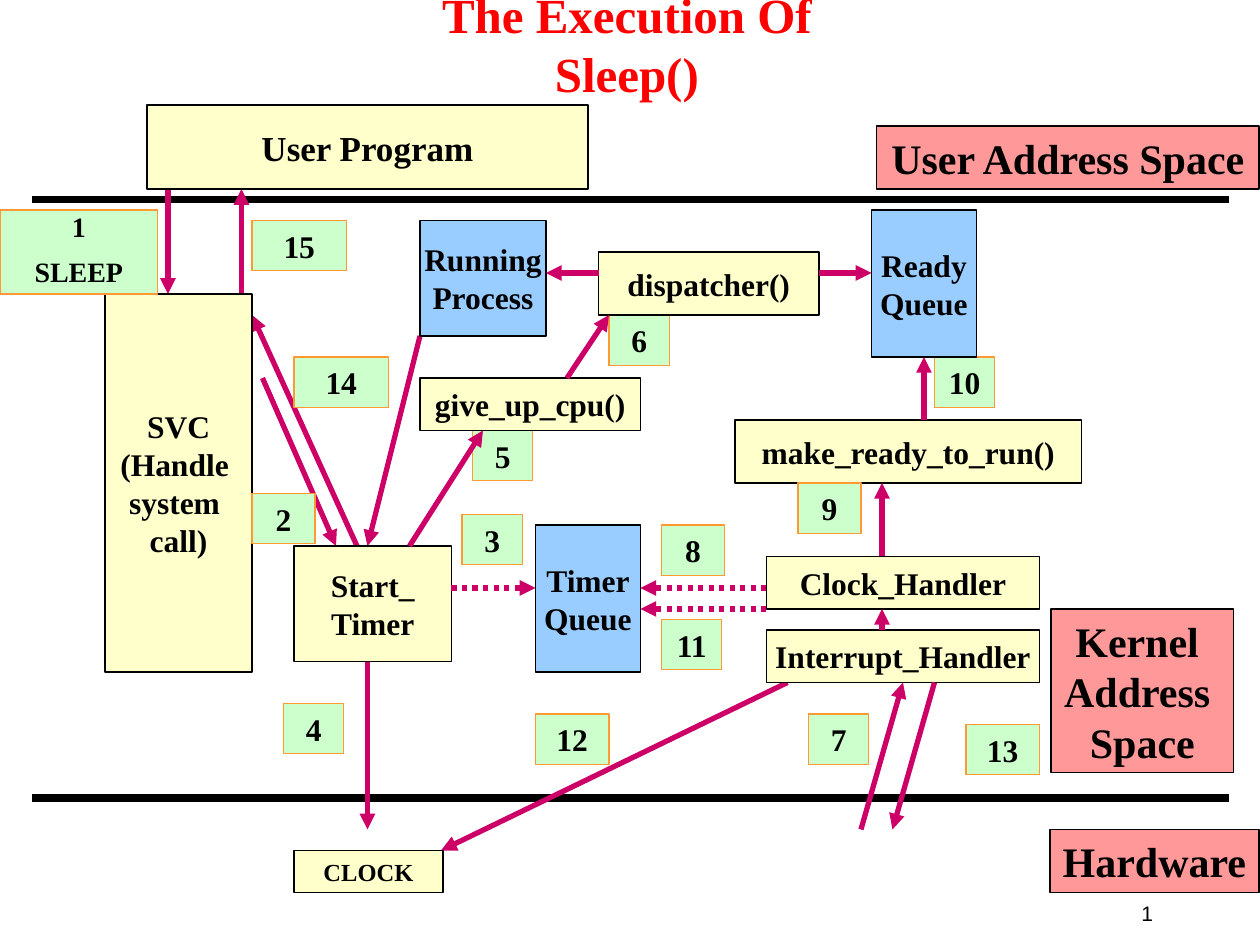
from lxml.etree import SubElement
from pptx import Presentation
from pptx.dml.color import RGBColor
from pptx.enum.dml import MSO_LINE
from pptx.enum.shapes import MSO_CONNECTOR, MSO_SHAPE
from pptx.enum.text import MSO_ANCHOR, PP_ALIGN
from pptx.oxml.ns import qn
from pptx.util import Inches, Pt

prs = Presentation()
prs.slide_width = Inches(10)
prs.slide_height = Inches(7.5)
unit = prs.slide_width / 120
s = prs.slides.add_slide(prs.slide_layouts[5])


def write(sp, text, size=18, color="000000", font="Times New Roman", bold=True,
          align=PP_ALIGN.CENTER, wrap=False, line_spacing=None, gap=0):
    tf = sp.text_frame
    tf.word_wrap = wrap
    tf.vertical_anchor = MSO_ANCHOR.MIDDLE
    tf.margin_left = tf.margin_right = Inches(0.1)
    tf.margin_top = tf.margin_bottom = Inches(0.05)
    for i, line in enumerate(text.split("\n")):
        p = tf.add_paragraph() if i else tf.paragraphs[0]
        p.alignment = align
        p.line_spacing = line_spacing
        p.space_before = Pt(gap if i else 0)
        r = p.add_run()
        r.text = line
        r.font.name = font
        r.font.size = Pt(size)
        r.font.bold = bold
        r.font.color.rgb = RGBColor.from_string(color)


def connect(x1, y1, x2, y2, color="CC0066", width=3, dotted=False, arrow=True):
    ends = [round(n * unit) for n in (x1, y1, x2, y2)]
    line = s.shapes.add_connector(MSO_CONNECTOR.STRAIGHT, *ends)
    line.line.color.rgb = RGBColor.from_string(color)
    line.line.width = Pt(width)
    if dotted:
        line.line.dash_style = MSO_LINE.ROUND_DOT
    if arrow:
        SubElement(line.line._get_or_add_ln(), qn("a:tailEnd"), type="triangle")
    SubElement(line._element.spPr, qn("a:effectLst"))


title = s.shapes.title
title.left, title.top = Inches(2.79), Inches(0.06)
title.width, title.height = Inches(4.37), Inches(0.57)
write(title, "The Execution Of Sleep()", size=28, color="FF0000")

for y in (19, 76):
    connect(3, y, 117, y, color="000000", width=4.5, arrow=False)

for ends in [
    (34, 52, 24, 30), (40, 32, 35, 52), (16, 18, 16, 28), (25, 36, 32, 52),
    (75, 65, 42, 81), (23, 28, 23, 18), (82, 79, 86, 65),
]:
    connect(*ends)

styles = {
    "space": ("FF9999", "000000", {"size": 24}),
    "module": ("FFFFCC", "000000", {}),
    "queue": ("99CCFF", "000000", {}),
    "step": ("CCFFCC", "FF9933", {"wrap": True}),
}
boxes = [
    ("space", 83.5, 12, 36.4, 6, "User Address Space", {}),
    ("module", 28, 81, 14.2, 4, "CLOCK", {"size": 14}),
    ("module", 10, 28, 14, 36, "SVC\n(Handle \nsystem \ncall)", {}),
    ("module", 70, 40, 33, 6, "make_ready_to_run()", {}),
    ("module", 14, 10, 42, 8, "User Program", {"size": 20}),
    ("step", 89, 34, 5.75, 4.8, "10", {}),
    ("step", 63, 50, 6, 4.8, "8", {}),
    ("step", 58, 30, 5.75, 4.8, "6", {}),
    ("step", 44, 49, 5.75, 4.8, "3", {}),
    ("step", 27, 67, 5.75, 4.8, "4", {}),
    ("step", 45, 41, 5.75, 4.8, "5", {}),
    ("step", 0, 20, 15, 8, "1\nSLEEP", {"size": 16, "line_spacing": 0.8, "gap": 10}),
    ("step", 77, 68, 5.75, 4.8, "7", {}),
    ("step", 63, 59, 5.75, 4.8, "11", {}),
    ("module", 40, 36, 21, 5, "give_up_cpu()", {}),
    ("module", 73, 60, 26, 5, "Interrupt_Handler", {}),
    ("queue", 51, 50, 10, 14, "Timer\nQueue", {}),
    ("module", 28, 52, 15, 11, "Start_\nTimer", {}),
    ("step", 51, 68, 7, 4.8, "12", {}),
    ("step", 76, 46, 6, 4.8, "9", {}),
    ("step", 24, 47, 6, 4.8, "2", {}),
    ("step", 28, 34, 9, 4.8, "14", {}),
    ("space", 100.1, 58, 17.4, 15.6, "Kernel \nAddress \nSpace", {}),
    ("queue", 83, 20, 10, 14, "Ready\nQueue", {}),
    ("queue", 40, 21, 12, 11, "Running\nProcess", {}),
    ("space", 100, 79, 19.9, 6, "Hardware", {}),
    ("module", 57, 24, 21, 6, "dispatcher()", {}),
    ("step", 92, 69, 7, 4.8, "13", {}),
    ("step", 24, 21, 9, 4.8, "15", {}),
    ("module", 73, 53, 26, 5, "Clock_Handler", {}),
]
for kind, x, y, w, h, text, extra in boxes:
    fill, outline, text_format = styles[kind]
    sp = s.shapes.add_shape(MSO_SHAPE.RECTANGLE, *[round(n * unit) for n in (x, y, w, h)])
    sp.shadow.inherit = False
    sp.fill.solid()
    sp.fill.fore_color.rgb = RGBColor.from_string(fill)
    sp.line.color.rgb = RGBColor.from_string(outline)
    sp.line.width = Pt(0.75)
    write(sp, text, **{**text_format, **extra})

for ends in [
    (35, 63, 35, 79), (84, 53, 84, 46), (39, 52, 46, 41), (89, 65, 85, 79),
    (54, 36, 58, 30), (78, 26, 83, 26), (57, 26, 52, 26), (88, 40, 88, 34),
    (84, 60, 84, 58),
]:
    connect(*ends)
for ends in [(43, 56, 51, 56), (73, 56, 61, 56), (73, 58, 61, 58)]:
    connect(*ends, dotted=True)

number = s.shapes.add_textbox(*[round(n * unit) for n in (86, 85, 25, 4)])
write(number, "1", size=12, font="Arial", bold=False, align=PP_ALIGN.RIGHT, wrap=True)

prs.save("out.pptx")
